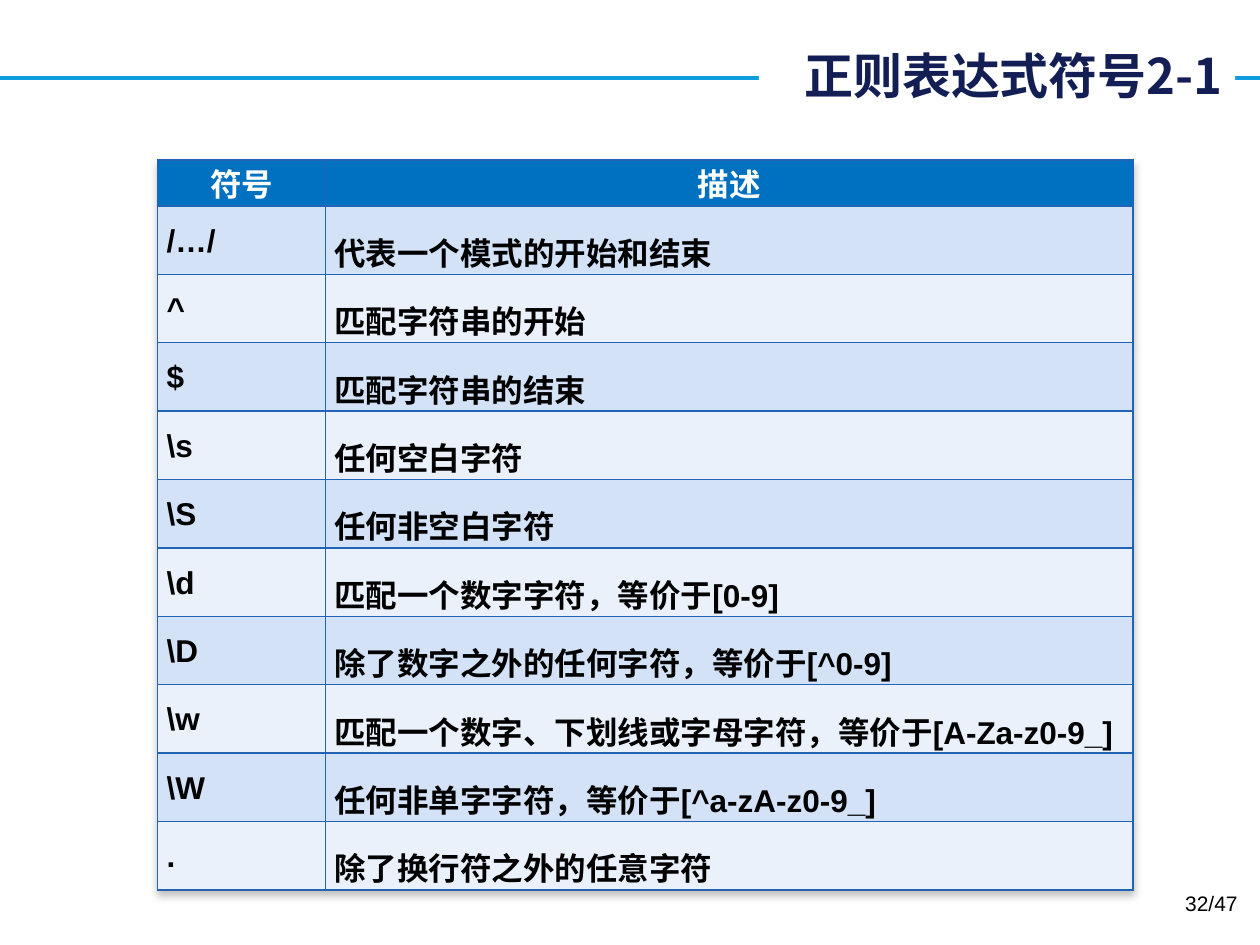
from typing import NamedTuple

from lxml.etree import SubElement
from pptx import Presentation
from pptx.dml.color import RGBColor
from pptx.enum.shapes import MSO_CONNECTOR
from pptx.enum.text import MSO_ANCHOR, PP_ALIGN as Align
from pptx.oxml import parse_xml
from pptx.oxml.ns import nsdecls, qn
from pptx.util import Cm, Pt

WHITE = RGBColor(0xFF, 0xFF, 0xFF)
BLACK = RGBColor(0, 0, 0)
NAVY = RGBColor(0x12, 0x1E, 0x54)
SKY = RGBColor(0x0E, 0x9C, 0xDE)
HEADER_BLUE = RGBColor(0x00, 0x70, 0xC0)
GRID_BLUE = RGBColor(0x21, 0x63, 0xB4)
BANDS = (RGBColor(0xD3, 0xE2, 0xF7), RGBColor(0xEA, 0xF1, 0xFB))
LATIN, CJK = "Arial", "Noto Sans CJK SC"


class Symbol(NamedTuple):
    sign: str
    meaning: str


HEADER = Symbol("符号", "描述")
SYMBOLS = [
    Symbol("/…/", "代表一个模式的开始和结束"),
    Symbol("^", "匹配字符串的开始"),
    Symbol("$", "匹配字符串的结束"),
    Symbol(r"\s", "任何空白字符"),
    Symbol(r"\S", "任何非空白字符"),
    Symbol(r"\d", "匹配一个数字字符，等价于[0-9]"),
    Symbol(r"\D", "除了数字之外的任何字符，等价于[^0-9]"),
    Symbol(r"\w", "匹配一个数字、下划线或字母字符，等价于[A-Za-z0-9_]"),
    Symbol(r"\W", "任何非单字字符，等价于[^a-zA-z0-9_]"),
    Symbol(".", "除了换行符之外的任意字符"),
]


def write(frame, text: str, align: Align, color: RGBColor, size: float,
          latin: str = LATIN, bold: bool = True, spacing: float = 1.0) -> None:
    paragraph = frame.paragraphs[0]
    paragraph.alignment = align
    paragraph.line_spacing = spacing
    run = paragraph.add_run()
    run.text = text
    for name, value in {"size": Pt(size), "name": latin, "bold": bold}.items():
        setattr(run.font, name, value)
    run.font.color.rgb = color
    SubElement(run.font._element, qn("a:ea"), typeface=CJK)


def style_cell(cell, fill: RGBColor) -> None:
    margins = {"margin_left": Cm(0.18), "margin_right": Cm(0.18),
               "margin_top": 0, "margin_bottom": 0}
    for name, value in margins.items():
        setattr(cell, name, value)
    properties = cell._tc.get_or_add_tcPr()
    for side in ("lnL", "lnR", "lnT", "lnB"):
        properties.append(parse_xml(
            f'<a:{side} {nsdecls("a")} w="{Pt(1)}"><a:solidFill>'
            f'<a:srgbClr val="{GRID_BLUE}"/></a:solidFill></a:{side}>'))
    cell.fill.solid()
    cell.fill.fore_color.rgb = fill


def draw_symbol_table(slide) -> None:
    table = slide.shapes.add_table(
        len(SYMBOLS) + 1, 2, Cm(3.18), Cm(3.23), Cm(19.66), Cm(14.05)).table
    table.horz_banding = False
    table._tbl.tblPr.insert(0, parse_xml(
        f'<a:effectLst {nsdecls("a")}><a:outerShdw blurRad="{Pt(4)}" dist="{Pt(3)}" '
        'dir="5400000"><a:srgbClr val="000000"><a:alpha val="25000"/></a:srgbClr>'
        '</a:outerShdw></a:effectLst>'))
    for column, width in zip(table.columns, (3.38, 16.28)):
        column.width = Cm(width)
    for index, symbol in enumerate([HEADER, *SYMBOLS]):
        is_header = index == 0
        table.rows[index].height = Cm(0.64 if is_header else 1.34)
        for cell, text in zip(table.rows[index].cells, symbol):
            style_cell(cell, HEADER_BLUE if is_header else BANDS[(index - 1) % 2])
            if is_header:
                write(cell.text_frame, text, Align.CENTER, WHITE, 18)
            else:
                write(cell.text_frame, text, Align.JUSTIFY, BLACK, 18, spacing=1.5)


def draw_title(slide) -> None:
    # Rule across the slide, behind the title
    rule = slide.shapes.add_connector(
        MSO_CONNECTOR.STRAIGHT, 0, Cm(1.57), Cm(25.4), Cm(1.57))
    rule.line.color.rgb = SKY
    rule.line.width = Pt(2.25)
    SubElement(rule._element.spPr, qn("a:effectLst"))
    slide.shapes._spTree.insert(2, rule._element)

    title = slide.shapes.title
    place = {"left": Cm(15.3), "top": Cm(0.79), "width": Cm(9.6), "height": Cm(1.45)}
    for name, value in place.items():
        setattr(title, name, value)
    title.fill.solid()
    title.fill.fore_color.rgb = WHITE
    title.text_frame.vertical_anchor = MSO_ANCHOR.MIDDLE
    write(title.text_frame, "正则表达式符号2-1", Align.RIGHT, NAVY, 28, latin=CJK)


def draw_page_number(slide) -> None:
    page = slide.shapes.add_textbox(Cm(19.28), Cm(17.83), Cm(5.92), Cm(1.02))
    page.text_frame.word_wrap = True
    write(page.text_frame, "32/47", Align.RIGHT, BLACK, 12, bold=False)


def main() -> None:
    deck = Presentation()
    deck.slide_width, deck.slide_height = Cm(25.4), Cm(19.05)
    slide = deck.slides.add_slide(deck.slide_layouts[5])
    draw_title(slide)
    draw_symbol_table(slide)
    draw_page_number(slide)
    deck.save("out.pptx")


if __name__ == "__main__":
    main()
